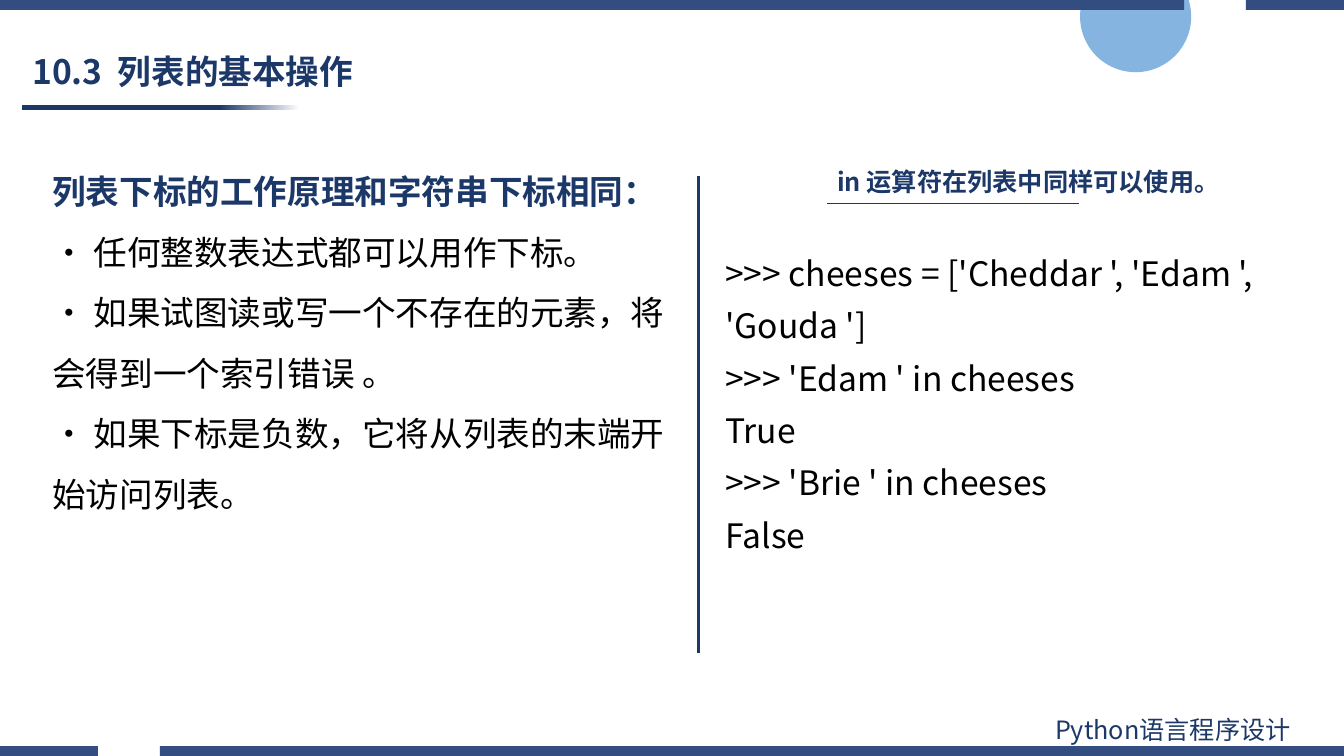
from lxml.etree import SubElement
from pptx import Presentation
from pptx.dml.color import RGBColor
from pptx.enum.shapes import MSO_CONNECTOR, MSO_SHAPE
from pptx.enum.text import MSO_ANCHOR, MSO_AUTO_SIZE, PP_ALIGN
from pptx.oxml.ns import qn
from pptx.util import Cm, Pt

NAVY = RGBColor(0x1B, 0x38, 0x68)
BAR_BLUE = RGBColor(0x33, 0x4D, 0x80)
SKY = RGBColor(0x5B, 0x9B, 0xD5)
BLACK = RGBColor(0, 0, 0)
WHITE = RGBColor(0xFF, 0xFF, 0xFF)
FONT = "Noto Sans CJK SC"
WIDTH, HEIGHT = 33.87, 19.05
BAR_HEIGHT = 0.25


class LessonSlide:
    """Holds the lesson style and draws each kind of element on one slide."""

    def __init__(self, presentation):
        self.slide = presentation.slides.add_slide(presentation.slide_layouts[5])

    def format_paragraph(self, paragraph, size, color, bold, spacing):
        paragraph.line_spacing = spacing
        paragraph.alignment = PP_ALIGN.LEFT
        for run in paragraph.runs:
            run.font.size = Pt(size)
            run.font.bold = bold
            run.font.color.rgb = color
            run.font.name = FONT
            SubElement(run.font._element, qn("a:ea")).set("typeface", FONT)

    def title(self, text, left, top, width, height):
        shape = self.slide.shapes.title
        shape.left, shape.top = Cm(left), Cm(top)
        shape.width, shape.height = Cm(width), Cm(height)
        frame = shape.text_frame
        frame.text = text
        frame.auto_size = MSO_AUTO_SIZE.NONE
        frame.vertical_anchor = MSO_ANCHOR.MIDDLE
        self.format_paragraph(frame.paragraphs[0], 24, NAVY, True, 0.9)

    def text(self, lines, left, top, width, height, size=24, color=BLACK,
             bold=False, spacing=1.0):
        box = self.slide.shapes.add_textbox(Cm(left), Cm(top), Cm(width), Cm(height))
        frame = box.text_frame
        frame.word_wrap = True
        frame.auto_size = MSO_AUTO_SIZE.SHAPE_TO_FIT_TEXT
        frame.text = "\n".join(lines)
        for paragraph in frame.paragraphs:
            self.format_paragraph(paragraph, size, color, bold, spacing)
        return frame

    def shape(self, kind, left, top, width, height, color):
        shape = self.slide.shapes.add_shape(
            kind, Cm(left), Cm(top), Cm(width), Cm(height))
        shape.shadow.inherit = False
        shape.line.fill.background()
        shape.fill.solid()
        shape.fill.fore_color.rgb = color
        return shape

    def circle(self, left, top, diameter, color, opacity):
        circle = self.shape(MSO_SHAPE.OVAL, left, top, diameter, diameter, color)
        color_element = circle._element.spPr.find(".//" + qn("a:srgbClr"))
        SubElement(color_element, qn("a:alpha")).set("val", str(opacity * 1000))

    def split_bar(self, top, gap_start, gap_end):
        for start, end in ((0, gap_start), (gap_end, WIDTH)):
            self.shape(MSO_SHAPE.RECTANGLE, start, top, end - start,
                       BAR_HEIGHT, BAR_BLUE)

    def fading_bar(self, left, top, width, height):
        fill = self.shape(MSO_SHAPE.RECTANGLE, left, top, width, height, NAVY).fill
        fill.gradient()
        fill.gradient_angle = 0
        for stop, position, color in zip(fill.gradient_stops, (0.71, 1), (NAVY, WHITE)):
            stop.position = position
            stop.color.rgb = color

    def line(self, x1, y1, x2, y2, weight):
        line = self.slide.shapes.add_connector(
            MSO_CONNECTOR.STRAIGHT, Cm(x1), Cm(y1), Cm(x2), Cm(y2))
        line.line.color.rgb = NAVY
        line.line.width = Pt(weight)
        SubElement(line._element.spPr, qn("a:effectLst"))


def main():
    presentation = Presentation()
    presentation.slide_width, presentation.slide_height = Cm(WIDTH), Cm(HEIGHT)
    lesson = LessonSlide(presentation)

    lesson.circle(27.22, -0.98, 2.8, SKY, 75)
    lesson.fading_bar(0.56, 2.64, 7, 0.13)
    lesson.split_bar(HEIGHT - BAR_HEIGHT, 2.47, 4.03)
    lesson.split_bar(0, 29.84, 31.4)
    lesson.text(["Python语言程序设计"], 26.34, 17.88, 7.47, 1.03, size=18, color=NAVY)

    lesson.title("10.3  列表的基本操作", 0.56, 1.14, 15.34, 1.42)

    rules = lesson.text([
        "列表下标的工作原理和字符串下标相同：",
        "• 任何整数表达式都可以用作下标。",
        "• 如果试图读或写一个不存在的元素，将会得到一个索引错误 。",
        "• 如果下标是负数，它将从列表的末端开始访问列表。",
    ], 1.07, 3.68, 15.95, 9.5, spacing=1.5)
    heading = rules.paragraphs[0].runs[0].font
    heading.bold = True
    heading.color.rgb = NAVY

    lesson.line(17.6, 4.43, 17.6, 16.46, 2)
    lesson.text(["in 运算符在列表中同样可以使用。"], 20.85, 4.06, 11.07, 1.03,
                size=18, color=NAVY, bold=True)
    lesson.line(20.85, 5.13, 27.18, 5.13, 0.5)
    lesson.text([
        ">>> cheeses = ['Cheddar ', 'Edam ', 'Gouda ']",
        ">>> 'Edam ' in cheeses",
        "True",
        ">>> 'Brie ' in cheeses",
        "False",
    ], 18.03, 5.94, 15.82, 8.26, spacing=1.3)

    presentation.save("out.pptx")


if __name__ == "__main__":
    main()
